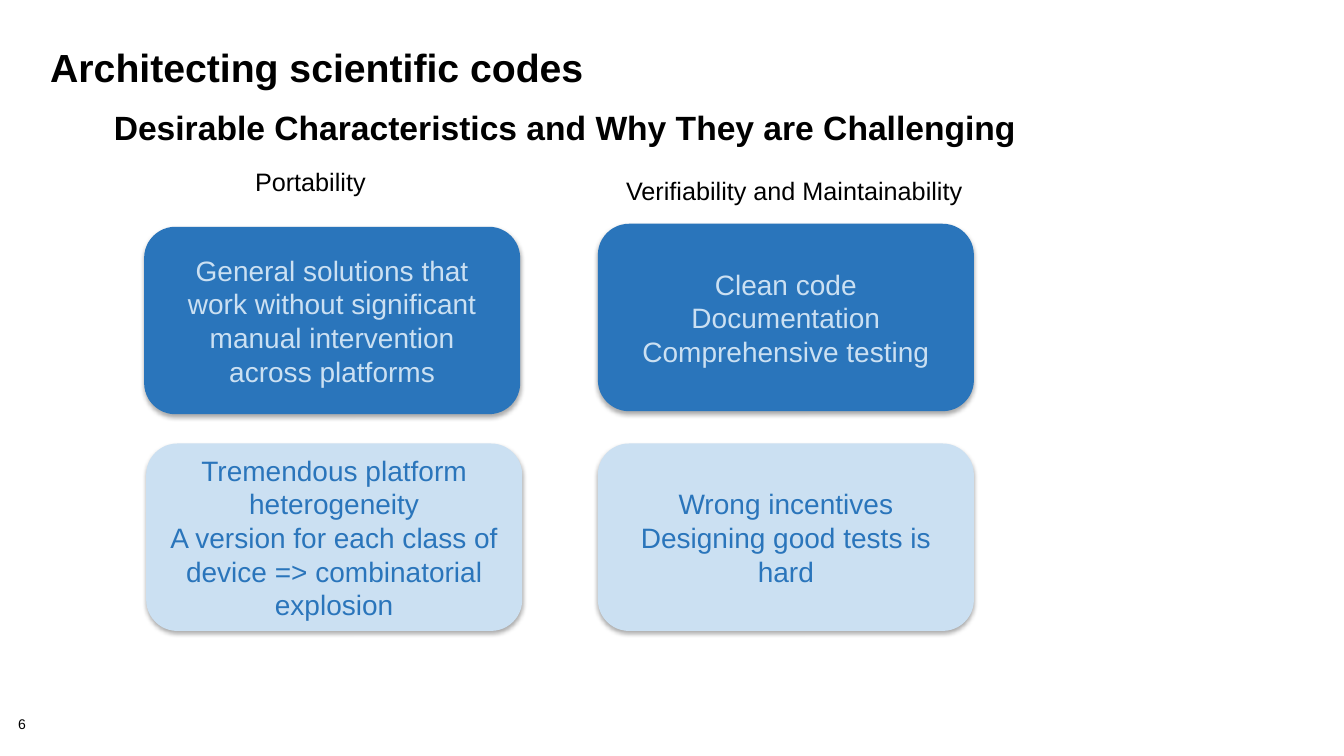
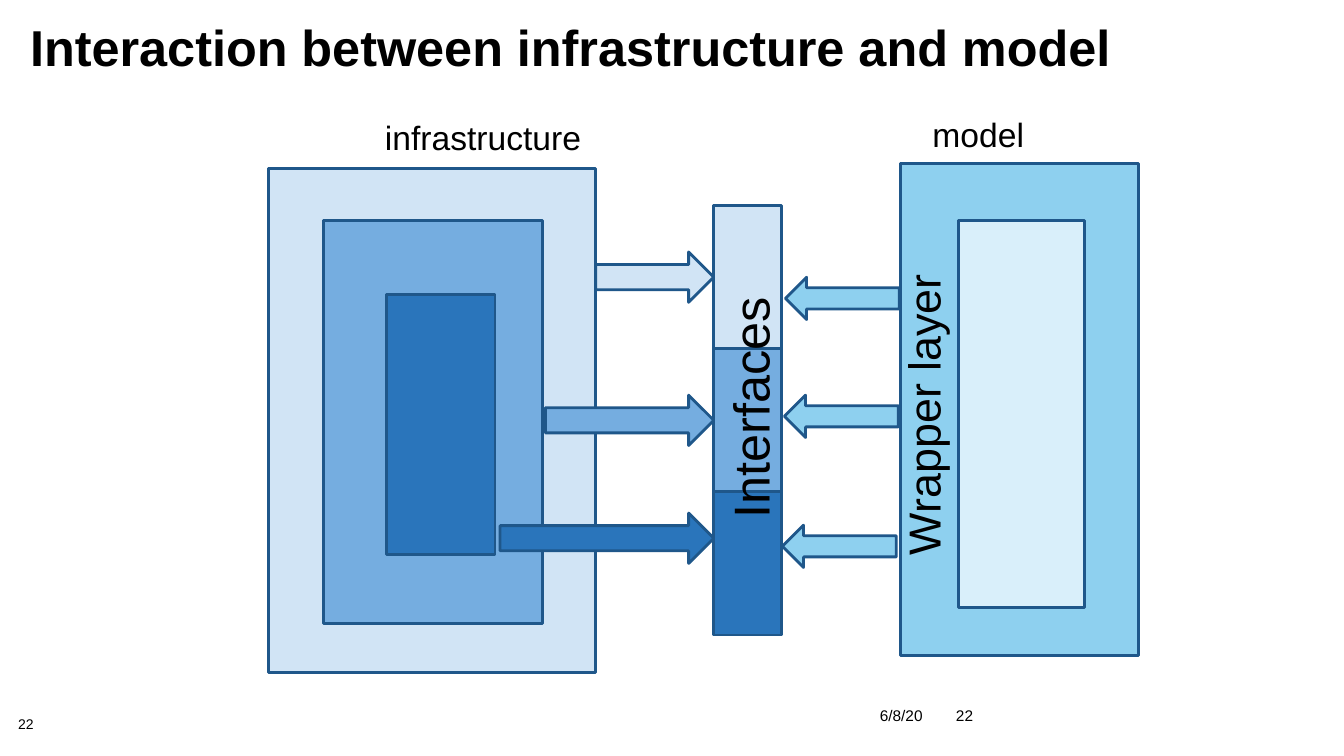
"""Build two slides on the architecture of scientific codes."""
from lxml.etree import SubElement
from pptx import Presentation
from pptx.dml.color import RGBColor
from pptx.enum.shapes import MSO_SHAPE
from pptx.enum.text import MSO_ANCHOR, PP_ALIGN
from pptx.oxml.ns import qn
from pptx.util import Inches, Pt

BLACK = RGBColor(0x00, 0x00, 0x00)
DEEP = RGBColor(0x2A, 0x75, 0xBB)
MID = RGBColor(0x75, 0xAD, 0xE0)
LIGHT = RGBColor(0xD1, 0xE4, 0xF5)
PALE = RGBColor(0xCB, 0xE0, 0xF2)
SKY = RGBColor(0x8E, 0xD0, 0xEF)
ICE = RGBColor(0xD9, 0xEF, 0xFA)
EDGE = RGBColor(0x1F, 0x57, 0x8A)


def write(shape, lines, size, color=BLACK, bold=False, frame={}, para={}):
    """Fill a shape with paragraphs, one per line."""
    text = shape.text_frame
    for name, value in ({"word_wrap": True} | frame).items():
        setattr(text, name, value)
    text.text = lines
    for item in text.paragraphs:
        for name, value in para.items():
            setattr(item, name, value)
        item.font.color.rgb = color
        for name, value in {"name": "Arial", "size": Pt(size), "bold": bold}.items():
            setattr(item.font, name, value)


def draw(slide, kind, spot, fill, edge=None):
    """Add a filled preset shape without the theme shadow."""
    shape = slide.shapes.add_shape(kind, *map(Inches, spot))
    shape.fill.solid()
    shape.fill.fore_color.rgb = fill
    if edge is None:
        shape.line.fill.background()
    else:
        shape.line.color.rgb = edge
        shape.line.width = Pt(2)
    shape.shadow.inherit = False
    return shape


deck = Presentation()
deck.slide_width, deck.slide_height = Inches(13.33), Inches(7.5)

FLAT = {"margin_left": 0, "margin_right": 0, "margin_top": 0, "margin_bottom": 0}
TIGHT = {"line_spacing": 0.9}
MIDDLE = {"vertical_anchor": MSO_ANCHOR.MIDDLE}
WIDE = MIDDLE | {"margin_left": Inches(0.13), "margin_right": Inches(0.13)}

slides = []
for title, size, spot, page in (
    ("Architecting scientific codes", 28, (0.4, 0.45, 12.44, 1), "6"),
    ("Interaction between infrastructure and model", 36, (0.2, 0.2, 12.47, 1.18), "22"),
):
    slide = deck.slides.add_slide(deck.slide_layouts[6])
    label = slide.shapes.add_textbox(*map(Inches, (0.18, 7.12, 0.56, 0.16)))
    write(label, page, 10, frame=FLAT, para=TIGHT)
    head = slide.shapes.add_textbox(*map(Inches, spot))
    write(head, title, size, bold=True, para={"line_spacing": 0.85})
    slides.append(slide)
traits, layers = slides

sub = traits.shapes.add_textbox(*map(Inches, (1.03, 1.06, 11.69, 0.39)))
write(sub, "Desirable Characteristics and Why They are Challenging", 24, bold=True, para=TIGHT)

LABEL = WIDE | {"margin_top": Inches(0.1), "margin_bottom": Inches(0.1), "word_wrap": False}
for words, spot in (
    ("Portability", (2.4, 1.58, 1.37, 0.47)),
    ("Verifiability and Maintainability", (6.08, 1.67, 3.63, 0.47)),
):
    label = traits.shapes.add_textbox(*map(Inches, spot))
    write(label, words, 18, frame=LABEL, para=TIGHT)

CARD = WIDE | {"margin_top": Inches(0.07), "margin_bottom": Inches(0.07)}
for words, left, top, fill, ink in (
    ("General solutions that work without significant manual intervention across platforms",
     1.43, 2.25, DEEP, PALE),
    ("Clean code\nDocumentation\nComprehensive testing", 5.93, 2.22, DEEP, PALE),
    ("Tremendous platform heterogeneity\n"
     "A version for each class of device => combinatorial explosion", 1.45, 4.4, PALE, DEEP),
    ("Wrong incentives\nDesigning good tests is hard", 5.93, 4.4, PALE, DEEP),
):
    card = draw(traits, MSO_SHAPE.ROUNDED_RECTANGLE, (left, top, 3.73, 1.86), fill)
    glow = SubElement(card._element.spPr.find(qn("a:effectLst")), qn("a:outerShdw"),
                      blurRad=str(Pt(3.5)), dist=str(Pt(2.2)), dir="5400000",
                      algn="ctr", rotWithShape="0")
    tint = SubElement(glow, qn("a:srgbClr"), val="000000")
    SubElement(tint, qn("a:alpha"), val="32000")
    write(card, words, 20, ink, frame=CARD, para={"alignment": PP_ALIGN.CENTER})

for words, left, width in (("6/8/20", 7.5, 1.75), ("22", 9.25, 0.5)):
    foot = layers.shapes.add_textbox(*map(Inches, (left, 6.95, width, 0.3)))
    write(foot, words, 11, frame=MIDDLE, para={"alignment": PP_ALIGN.RIGHT})

for spot, fill in (
    ((2.66, 1.67, 3.25, 5), LIGHT),
    ((3.21, 2.19, 2.17, 4), MID),
    ((3.83, 2.92, 1.08, 2.58), DEEP),
    ((8.93, 1.62, 2.36, 4.88), SKY),
    ((9.51, 2.19, 1.25, 3.84), ICE),
):
    draw(layers, MSO_SHAPE.RECTANGLE, spot, fill, EDGE)

PORT = 7.08
for row, (fill, left, top) in enumerate(((LIGHT, 5.91, 2.5), (MID, 5.41, 3.92), (DEEP, 4.96, 5.09))):
    draw(layers, MSO_SHAPE.RECTANGLE, (PORT, 2.04 + 1.42 * row, 0.67, 1.42), fill, EDGE)
    draw(layers, MSO_SHAPE.RIGHT_ARROW, (left, top, PORT - left, 0.5), fill, EDGE)

for left, top in ((7.79, 2.75), (7.78, 3.92), (7.76, 5.21)):
    draw(layers, MSO_SHAPE.LEFT_ARROW, (left, top, 1.13, 0.42), SKY, EDGE)

for words, size, spot, turn in (
    ("Interfaces", 36, (5.93, 3.38, 3.02, 0.71), 270),
    ("Wrapper layer", 32, (7.32, 3.45, 3.67, 0.64), 270),
    ("infrastructure", 24, (3.72, 1.11, 2.17, 0.5), 0),
    ("model", 24, (9.15, 1.08, 1.12, 0.5), 0),
):
    label = layers.shapes.add_textbox(*map(Inches, spot))
    label.rotation = turn
    write(label, words, size, frame={"word_wrap": turn > 0})

deck.save("out.pptx")
